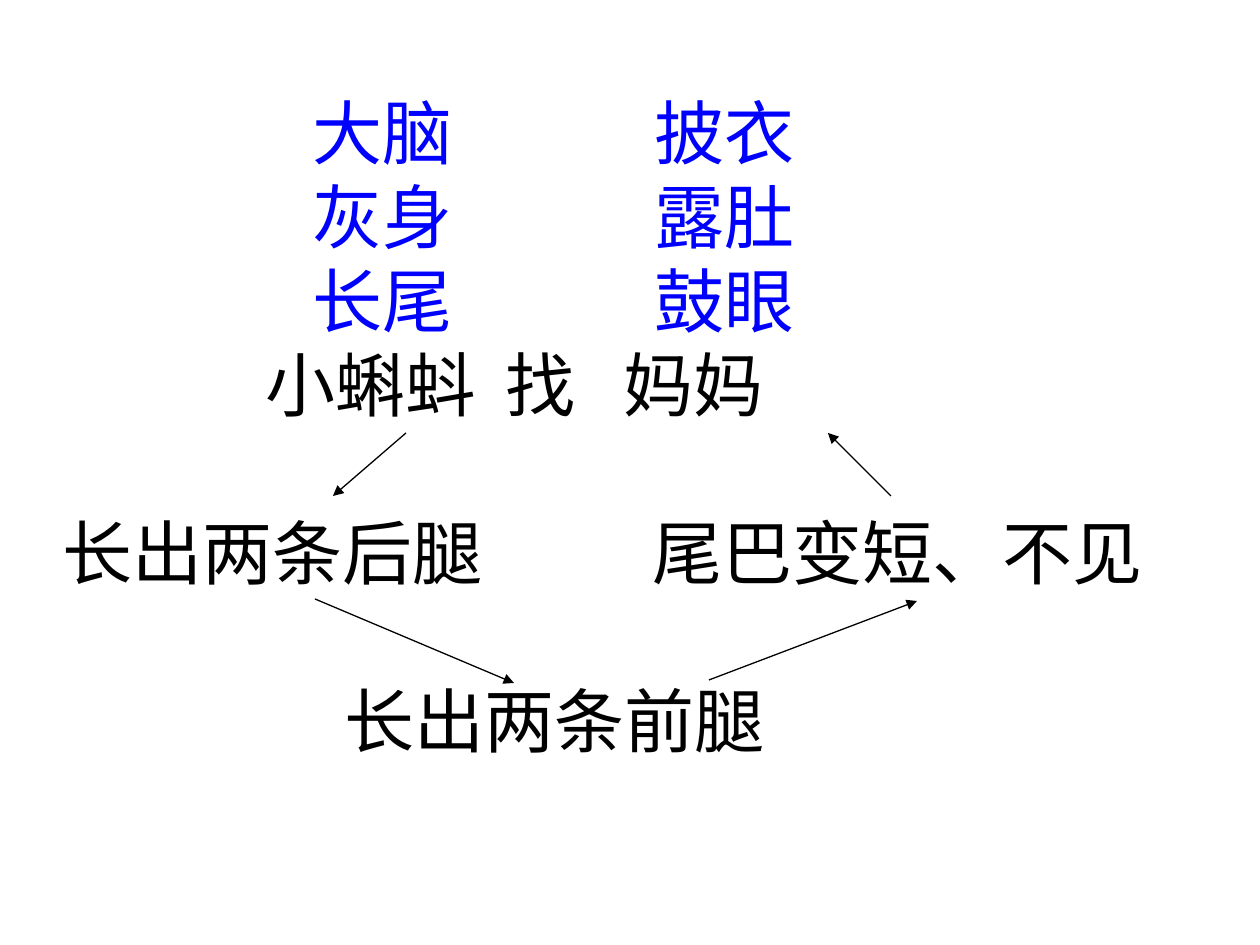
from lxml.etree import SubElement
from pptx import Presentation
from pptx.dml.color import RGBColor
from pptx.enum.shapes import MSO_CONNECTOR
from pptx.oxml.ns import qn
from pptx.util import Pt

BLACK = RGBColor(0, 0, 0)
BLUE = RGBColor(0, 0, 255)
PX = 914400 // 126
FIRST_ROW, ROW_HEIGHT, CHAR_WIDTH = 90, 84, 70

FEATURES = [
    (313, 0, ["大脑", "灰身", "长尾"]),
    (655, 0, ["披衣", "露肚", "鼓眼"]),
]
TITLE_WORDS = [(266, 3, ["小蝌蚪"]), (506, 3, ["找"]), (624, 3, ["妈妈"])]
STAGES = [
    (63, 5, ["长出两条后腿"]),
    (345, 7, ["长出两条前腿"]),
    (653, 5, ["尾巴变短、不见"]),
]
ARROWS = [
    (406, 433, 333, 496),
    (315, 599, 514, 683),
    (709, 680, 917, 601),
    (891, 496, 828, 433),
]


def add_text(slide, left, row, lines, *, font="Arial", color=BLACK, size=40):
    width = CHAR_WIDTH * max(map(len, lines)) + 10
    box = slide.shapes.add_textbox(
        left * PX, (FIRST_ROW + row * ROW_HEIGHT) * PX,
        width * PX, len(lines) * ROW_HEIGHT * PX)
    frame = box.text_frame
    frame.word_wrap = True
    frame.margin_left = frame.margin_right = 0
    frame.margin_top = frame.margin_bottom = 0
    frame.text = "\n".join(lines)
    for paragraph in frame.paragraphs:
        paragraph.line_spacing = Pt(48)
        paragraph.font.name = font
        paragraph.font.size = Pt(size)
        paragraph.font.color.rgb = color


def add_arrow(slide, *ends):
    arrow = slide.shapes.add_connector(
        MSO_CONNECTOR.STRAIGHT, *(end * PX for end in ends))
    arrow.line.color.rgb = BLACK
    arrow.line.width = Pt(0.75)
    SubElement(arrow.line._get_or_add_ln(), qn("a:tailEnd"), type="triangle")
    SubElement(arrow._element.spPr, qn("a:effectLst"))


def main():
    deck = Presentation()
    deck.slide_width, deck.slide_height = 1260 * PX, 945 * PX
    slide = deck.slides.add_slide(deck.slide_layouts[6])
    for feature in FEATURES:
        add_text(slide, *feature, color=BLUE)
    for word in TITLE_WORDS:
        add_text(slide, *word, font="Noto Sans CJK SC")
    for stage in STAGES:
        add_text(slide, *stage)
    for ends in ARROWS:
        add_arrow(slide, *ends)
    deck.save("out.pptx")


if __name__ == "__main__":
    main()
